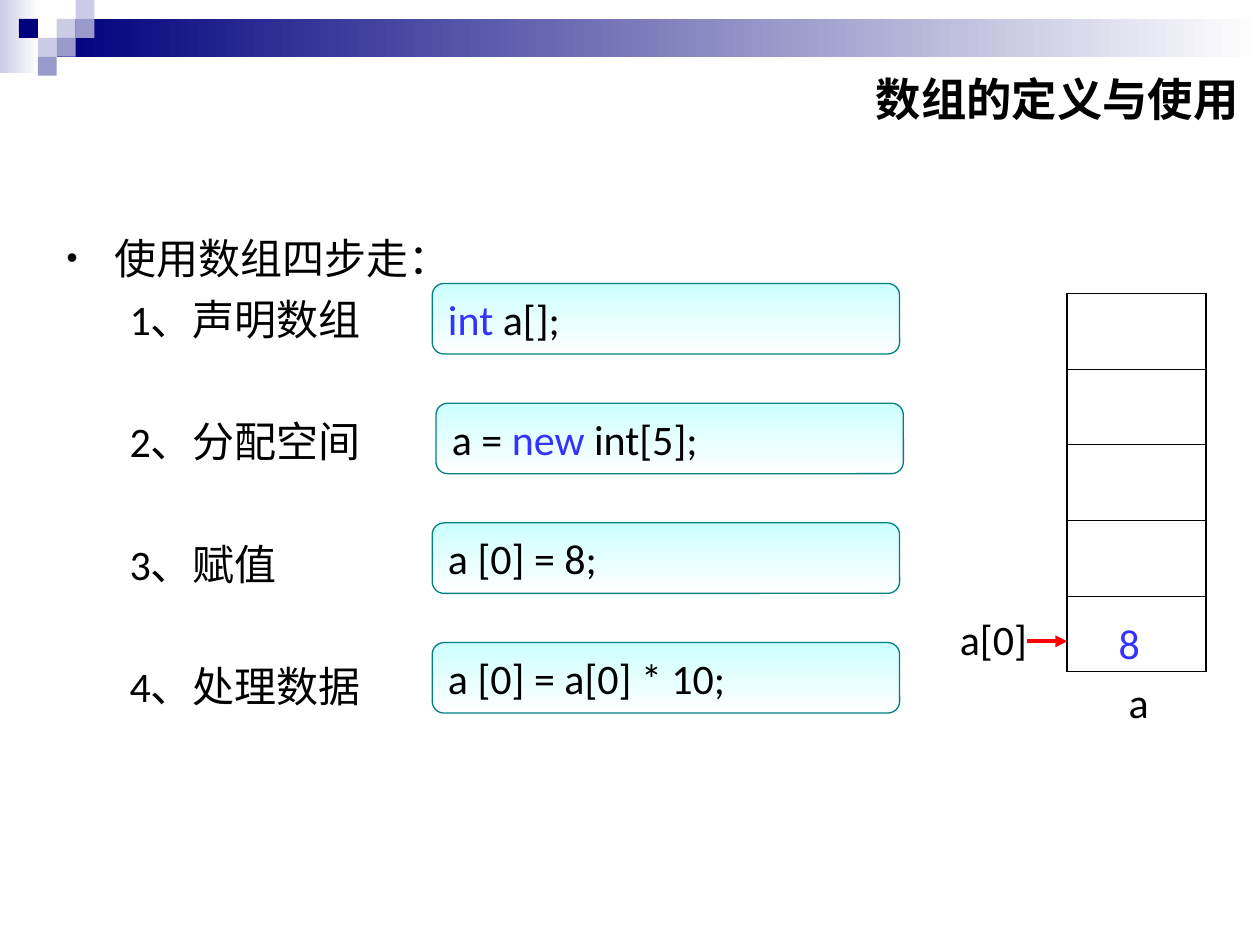
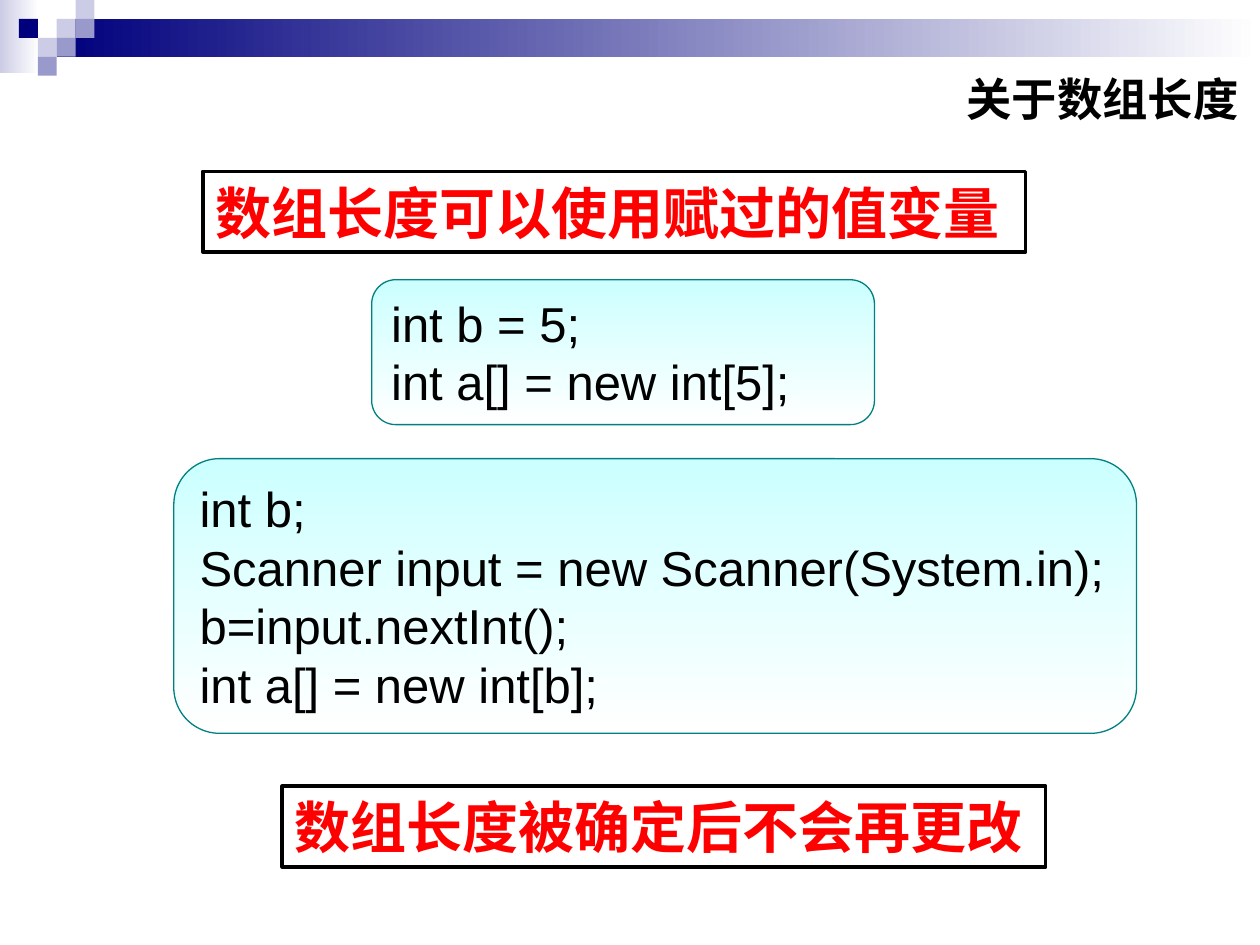
from dataclasses import dataclass

from lxml import etree
from pptx import Presentation
from pptx.dml.color import RGBColor
from pptx.enum.shapes import MSO_CONNECTOR as CONNECTOR, MSO_SHAPE as SHAPE
from pptx.enum.text import MSO_ANCHOR as ANCHOR, PP_ALIGN as ALIGN
from pptx.oxml import parse_xml
from pptx.oxml.ns import nsdecls, qn
from pptx.util import Inches, Pt


@dataclass(frozen=True)
class Theme:
    black: str = "000000"
    white: str = "FFFFFF"
    navy: str = "00007D"
    lilac: str = "9999CC"
    pale: str = "CCCCE6"
    aqua: str = "CCFFFF"
    teal: str = "008080"
    red: str = "FF0000"
    keyword: str = "3333FF"
    body_font: str = "Calibri"
    code_font: str = "Arial"
    cjk_font: str = "Noto Sans CJK SC"
    body_size: float = 24
    title_size: float = 25.9
    code_size: float = 28
    callout_size: float = 32


T = Theme()
UNIT = 0.15  # side of one square in the header mosaic
MOSAIC = [(3, 1, T.pale), (4, 0, T.pale), (4, 1, T.lilac), (2, 2, T.pale),
          (1, 1, T.navy), (3, 2, T.lilac), (2, 3, T.lilac)]


def rgb(color):
    return RGBColor.from_string(color)


def inches(*values):
    return [Inches(v) for v in values]


class Deck:
    def __init__(self):
        self.prs = Presentation()
        self.prs.slide_width, self.prs.slide_height = inches(10, 7.5)
        self.s = None

    def slide(self, title):
        self.s = self.prs.slides.add_slide(self.prs.slide_layouts[6])
        self.shape((0, 0, 0.31, 0.58), gradient=(T.pale, T.white))
        self.shape((0.45, UNIT, 9.55, 2 * UNIT), gradient=(T.navy, T.white))
        for col, row, color in MOSAIC:
            self.shape((col * UNIT, row * UNIT, UNIT, UNIT), fill=color)
        tf = self.text((4.8, 0.53, 5.13, 0.55), [[(title, T.black)]],
                       size=T.title_size, font=T.cjk_font, bold=True)
        tf.vertical_anchor = ANCHOR.MIDDLE
        p = tf.paragraphs[0]
        p.alignment, p.line_spacing = ALIGN.RIGHT, 0.9

    def shape(self, box, kind=SHAPE.RECTANGLE, fill=None, gradient=None,
              angle=0, line=None, width=0.75):
        sp = self.s.shapes.add_shape(kind, *inches(*box))
        sp.shadow.inherit = False
        if gradient:
            sp.fill.gradient()
            sp.fill.gradient_angle = angle
            for stop, color, pos in zip(sp.fill.gradient_stops, gradient, (0, 1)):
                stop.color.rgb, stop.position = rgb(color), pos
        elif fill:
            sp.fill.solid()
            sp.fill.fore_color.rgb = rgb(fill)
        else:
            sp.fill.background()
        if line:
            sp.line.color.rgb, sp.line.width = rgb(line), Pt(width)
        else:
            sp.line.fill.background()
        return sp

    def fill_text(self, tf, paragraphs, size=T.body_size, font=T.body_font, bold=False):
        """Fill a frame; each paragraph is a list of (text, color) runs."""
        tf.word_wrap = True
        for i, runs in enumerate(paragraphs):
            p = tf.paragraphs[0] if i == 0 else tf.add_paragraph()
            p.alignment = ALIGN.LEFT
            for text, color in runs:
                r = p.add_run()
                r.text = text
                r.font.size, r.font.name, r.font.bold = Pt(size), font, bold
                r.font.color.rgb = rgb(color)
                ea = etree.Element(qn("a:ea"), typeface=T.cjk_font)
                r._r.rPr.find(qn("a:latin")).addnext(ea)
        return tf

    def text(self, box, paragraphs, **style):
        sp = self.s.shapes.add_textbox(*inches(*box))
        return self.fill_text(sp.text_frame, paragraphs, **style)

    def code(self, box, paragraphs, leading=None, **style):
        sp = self.shape(box, SHAPE.ROUNDED_RECTANGLE, gradient=(T.aqua, T.white),
                        angle=270, line=T.teal)
        tf = self.fill_text(sp.text_frame, paragraphs, **style)
        tf.vertical_anchor = ANCHOR.MIDDLE
        for p in tf.paragraphs:
            p.line_spacing = leading

    def callout(self, box, text):
        sp = self.shape(box, line=T.black, width=2)
        tf = self.fill_text(sp.text_frame, [[(text, T.red)]],
                            size=T.callout_size, bold=True)
        tf.vertical_anchor = ANCHOR.MIDDLE

    def steps(self, box, heading, items):
        """A bulleted heading over indented steps set two lines apart."""
        tf = self.text(box, [[(t, T.black)] for t in (heading, *items)])
        for i, p in enumerate(tf.paragraphs):
            p.line_spacing = Pt(29)
            p.space_before = Pt(6 if i < 2 else 41)
            margin, indent = (0.81, -0.31) if i else (0.38, -0.38)
            pPr = p._p.get_or_add_pPr()
            pPr.set("marL", str(Inches(margin)))
            pPr.set("indent", str(Inches(indent)))
            if i:
                etree.SubElement(pPr, qn("a:buNone"))
            else:
                etree.SubElement(pPr, qn("a:buSzPct"), val="75000")
                etree.SubElement(pPr, qn("a:buFont"), typeface=T.code_font)
                etree.SubElement(pPr, qn("a:buChar"), char="•")

    def memory(self, box, rows):
        """A one-column table of empty cells, with a heavier outer frame."""
        frame = self.s.shapes.add_table(rows, 1, *inches(*box))
        table = frame.table
        table.first_row = table.horz_banding = False
        for i in range(rows):
            cell = table.cell(i, 0)
            tcPr = cell._tc.get_or_add_tcPr()
            widths = {"L": 1.08, "R": 1.08, "T": 0.45 if i else 1.08,
                      "B": 0.45 if i < rows - 1 else 1.08}
            for side, width in widths.items():
                tcPr.append(parse_xml(
                    f'<a:ln{side} {nsdecls("a")} w="{Pt(width)}"><a:solidFill>'
                    f'<a:srgbClr val="{T.black}"/></a:solidFill></a:ln{side}>'))
            cell.fill.solid()
            cell.fill.fore_color.rgb = rgb(T.white)

    def arrow(self, x1, y1, x2, y2):
        c = self.s.shapes.add_connector(CONNECTOR.STRAIGHT, *inches(x1, y1, x2, y2))
        c.line.color.rgb, c.line.width = rgb(T.red), Pt(2.25)
        spPr = c._element.spPr
        etree.SubElement(spPr.find(qn("a:ln")), qn("a:tailEnd"), type="triangle")
        etree.SubElement(spPr, qn("a:effectLst"))


def array_steps(deck):
    deck.slide("数组的定义与使用")
    deck.steps((0.43, 1.79, 7.56, 4.35), "使用数组四步走：",
               ["1、声明数组", "2、分配空间", "3、赋值", "4、处理数据"])
    snippets = [
        (3.43, [("int", T.keyword), (" a[];", T.black)]),
        (3.46, [("a = ", T.black), ("new", T.keyword), (" int[5];", T.black)]),
        (3.43, [("a [0] = 8;", T.black)]),
        (3.43, [("a [0] = a[0] * 10;", T.black)]),
    ]
    for i, (left, runs) in enumerate(snippets):
        deck.code((left, 2.25 + i * 0.95, 3.71, 0.56), [runs])

    deck.memory((8.47, 2.33, 1.1, 3), rows=5)
    for box, label, color in [((8.86, 5.32, 0.47, 0.5), "a", T.black),
                              ((8.78, 4.85, 0.95, 0.5), "8", T.keyword),
                              ((7.52, 4.82, 0.87, 0.5), "a[0]", T.black)]:
        deck.text(box, [[(label, color)]])
    deck.arrow(8.15, 5.09, 8.47, 5.09)


def array_length(deck):
    deck.slide("关于数组长度")
    deck.callout((1.61, 1.36, 6.53, 0.64), "数组长度可以使用赋过的值变量")
    listings = [
        ((2.95, 2.22, 3.99, 1.15), ["int b = 5;", "int a[] = new int[5];"]),
        ((1.38, 3.64, 7.64, 2.18),
         ["int b;", "Scanner input = new Scanner(System.in);",
          "b=input.nextInt();", "int a[] = new int[b];"]),
    ]
    for box, lines in listings:
        deck.code(box, [[(line, T.black)] for line in lines], leading=Pt(33.5),
                  size=T.code_size, font=T.code_font)
    deck.callout((2.24, 6.24, 6.06, 0.64), "数组长度被确定后不会再更改")


def main():
    deck = Deck()
    array_steps(deck)
    array_length(deck)
    deck.prs.save("out.pptx")


if __name__ == "__main__":
    main()
